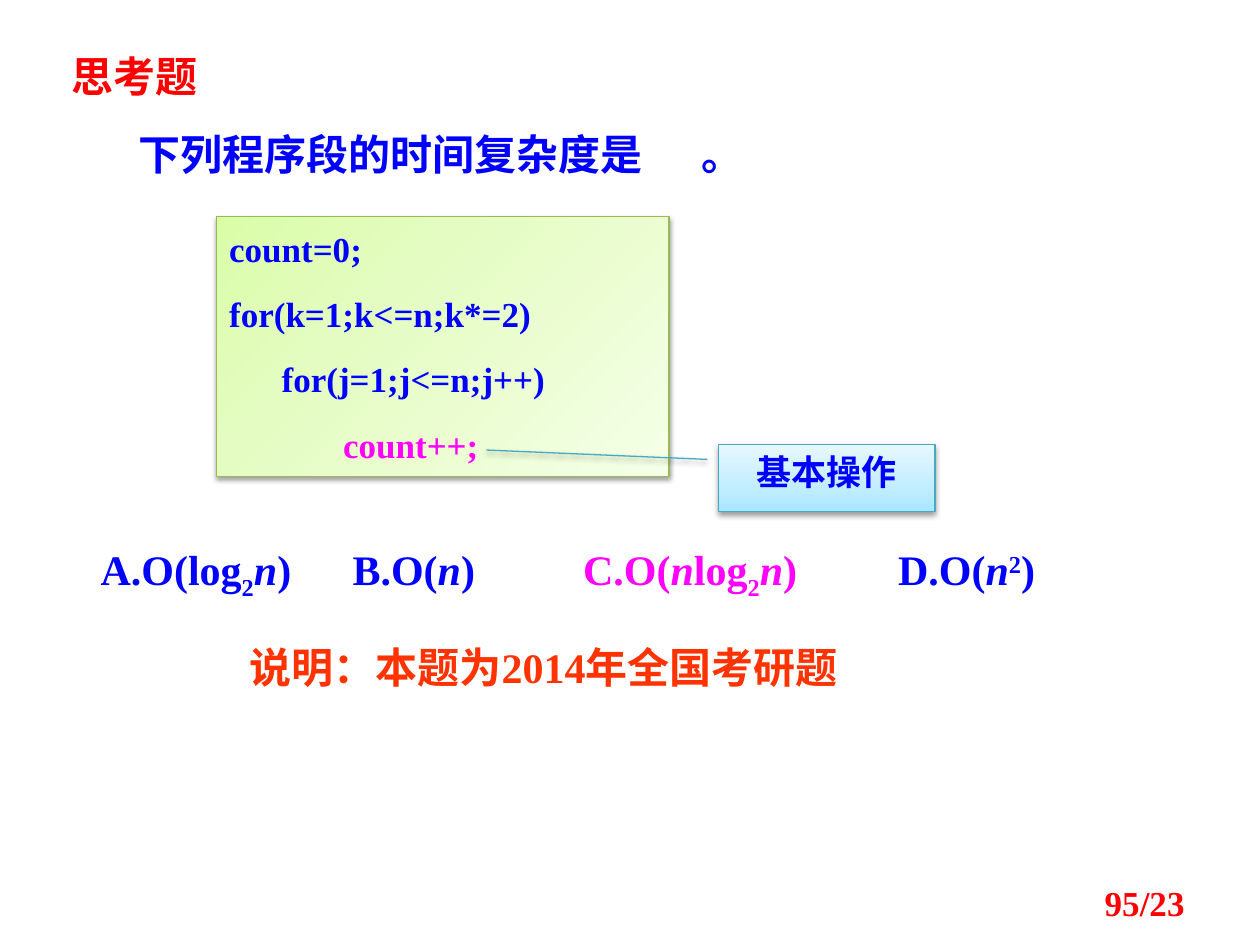
from copy import deepcopy
from dataclasses import dataclass

from lxml import etree
from pptx import Presentation, util as u
from pptx.dml.color import RGBColor
from pptx.enum import shapes, text
from pptx.oxml import ns

COLORS = {
    "red": "FF0000", "blue": "0000FF", "magenta": "FF00FF", "orange": "FF3300",
    "code_line": "98B955", "callout_line": "46AAC5", "shadow": "000000",
}
GRADIENTS = {
    "code": ("DAFDA7", "E4FCC2", "F5FFE7"),
    "callout": ("A7E6FF", "C1EDFF", "E7F8FF"),
}
STOPS = (0, 0.35, 1)
SERIF = "Times New Roman"
SANS = "Noto Sans CJK SC"


@dataclass
class Run:
    words: str
    color: str | None = None
    italic: bool = False
    underline: bool = False
    baseline: int = 0


@dataclass
class Line:
    runs: list[Run]
    color: str = "blue"
    size: int = 24
    font: str = SERIF
    align: text.PP_ALIGN = text.PP_ALIGN.LEFT
    spacing: float = 1.1
    indent: float = 0
    tabs: tuple[float, ...] = ()


@dataclass
class Panel:
    box: tuple[float, float, float, float]
    kind: shapes.MSO_SHAPE
    gradient: str
    angle: int
    line: str
    lines: list[Line]
    adjustments: tuple[float, ...] = ()


def rgb(name: str) -> RGBColor:
    return RGBColor.from_string(COLORS[name])


def add_child(parent, tag: str, **attributes):
    return etree.SubElement(parent, ns.qn(tag), {k: str(v) for k, v in attributes.items()})


def write_lines(frame, lines: list[Line], anchor=text.MSO_ANCHOR.TOP) -> None:
    frame.word_wrap = True
    frame.vertical_anchor = anchor
    for index, line in enumerate(lines):
        paragraph = frame.add_paragraph() if index else frame.paragraphs[0]
        paragraph.alignment = line.align
        paragraph.line_spacing = line.spacing
        if index:
            paragraph.space_before = u.Pt(line.size * 0.55)
        properties = paragraph._p.get_or_add_pPr()
        if line.indent:
            properties.set("marL", "0")
            properties.set("indent", str(u.Inches(line.indent)))
        if line.tabs:
            tab_list = add_child(properties, "a:tabLst")
            for position in line.tabs:
                add_child(tab_list, "a:tab", pos=u.Inches(position), algn="l")
        font = paragraph.font
        font.name, font.size, font.bold = line.font, u.Pt(line.size), True
        font.color.rgb = rgb(line.color)
        for part in line.runs:
            run = paragraph.add_run()
            run.text = part.words
            if part.color:
                run.font.color.rgb = rgb(part.color)
            if part.italic:
                run.font.italic = True
            if part.underline:
                run.font.underline = True
            if part.baseline:
                run._r.get_or_add_rPr().set("baseline", str(part.baseline * 1000))


def add_text(slide, box, lines: list[Line], anchor=text.MSO_ANCHOR.TOP) -> None:
    shape = slide.shapes.add_textbox(*map(u.Inches, box))
    write_lines(shape.text_frame, lines, anchor)


def add_panel(slide, panel: Panel) -> None:
    shape = slide.shapes.add_shape(panel.kind, *map(u.Inches, panel.box))
    for index, value in enumerate(panel.adjustments):
        shape.adjustments[index] = value
    shape.fill.gradient()
    shape.fill.gradient_angle = 360 - panel.angle
    stop_list = shape._element.spPr.find(f".//{ns.qn('a:gsLst')}")
    stop_list.append(deepcopy(stop_list[-1]))
    for stop, position, color in zip(shape.fill.gradient_stops, STOPS, GRADIENTS[panel.gradient]):
        stop.position = position
        stop.color.rgb = RGBColor.from_string(color)
    shape.line.color.rgb = rgb(panel.line)
    shape.line.width = u.Pt(0.75)
    shape.shadow.inherit = False
    effects = shape._element.spPr.find(ns.qn("a:effectLst"))
    shadow = add_child(effects, "a:outerShdw", blurRad=u.Pt(3.1), dist=u.Pt(1.6),
                       dir=90 * 60000, rotWithShape=0)
    color = add_child(shadow, "a:srgbClr", val=COLORS["shadow"])
    add_child(color, "a:alpha", val=38000)
    write_lines(shape.text_frame, panel.lines)


def code(words: str, *more: Run) -> Line:
    return Line([Run(words), *more], size=20)


QUESTION = [
    Line([Run("思考题")], "red", font=SANS),
    Line([Run("下列程序段的时间复杂度是"), Run("\t", underline=True), Run("。")],
         indent=0.53, tabs=(5.28,)),
]
CHOICES = Line([
    Run("A.O(log"), Run("2", baseline=-25), Run("n", italic=True), Run(")\tB.O("),
    Run("n", italic=True), Run(")\t"),
    Run("C.O(", "magenta"), Run("n", "magenta", italic=True), Run("log", "magenta"),
    Run("2", "magenta", baseline=-25), Run("n", "magenta", italic=True), Run(")\t", "magenta"),
    Run("D.O("), Run("n", italic=True), Run("2", baseline=30), Run(")"),
], tabs=(2, 3.83, 6.33))
CODE_PANEL = Panel(
    (1.72, 1.72, 3.59, 2.06), shapes.MSO_SHAPE.RECTANGLE, "code", 45, "code_line",
    [
        code("count=0;"),
        code("for(k=1;k<=n;k*=2)"),
        code("      for(j=1;j<=n;j++)"),
        code("             ", Run("count++;", "magenta")),
    ],
)
CALLOUT = Panel(
    (5.7, 3.53, 1.72, 0.53), shapes.MSO_SHAPE.LINE_CALLOUT_2, "callout", 270, "callout_line",
    [Line([Run("基本操作")], size=20, font=SANS, align=text.PP_ALIGN.CENTER, spacing=1.0)],
    (0.22, -0.05, 0.22, -0.05, 0.08, -1.07),
)
REMARK = Line([Run("说明：本题为2014年全国考研题")], "orange", align=text.PP_ALIGN.CENTER)
PAGE_NUMBER = Line([Run("95/23")], "red", 20, align=text.PP_ALIGN.RIGHT)


def main() -> None:
    presentation = Presentation()
    presentation.slide_width, presentation.slide_height = u.Inches(10), u.Inches(7.5)
    slide = presentation.slides.add_slide(presentation.slide_layouts[6])
    add_text(slide, (0.47, 0.31, 6.88, 1.19), QUESTION)
    add_text(slide, (0.7, 4.22, 8.2, 0.51), [CHOICES])
    add_panel(slide, CODE_PANEL)
    add_text(slide, (1.48, 5, 5.67, 0.55), [REMARK])
    add_panel(slide, CALLOUT)
    add_text(slide, (7.17, 6.95, 2.33, 0.4), [PAGE_NUMBER], text.MSO_ANCHOR.MIDDLE)
    presentation.save("out.pptx")


if __name__ == "__main__":
    main()
